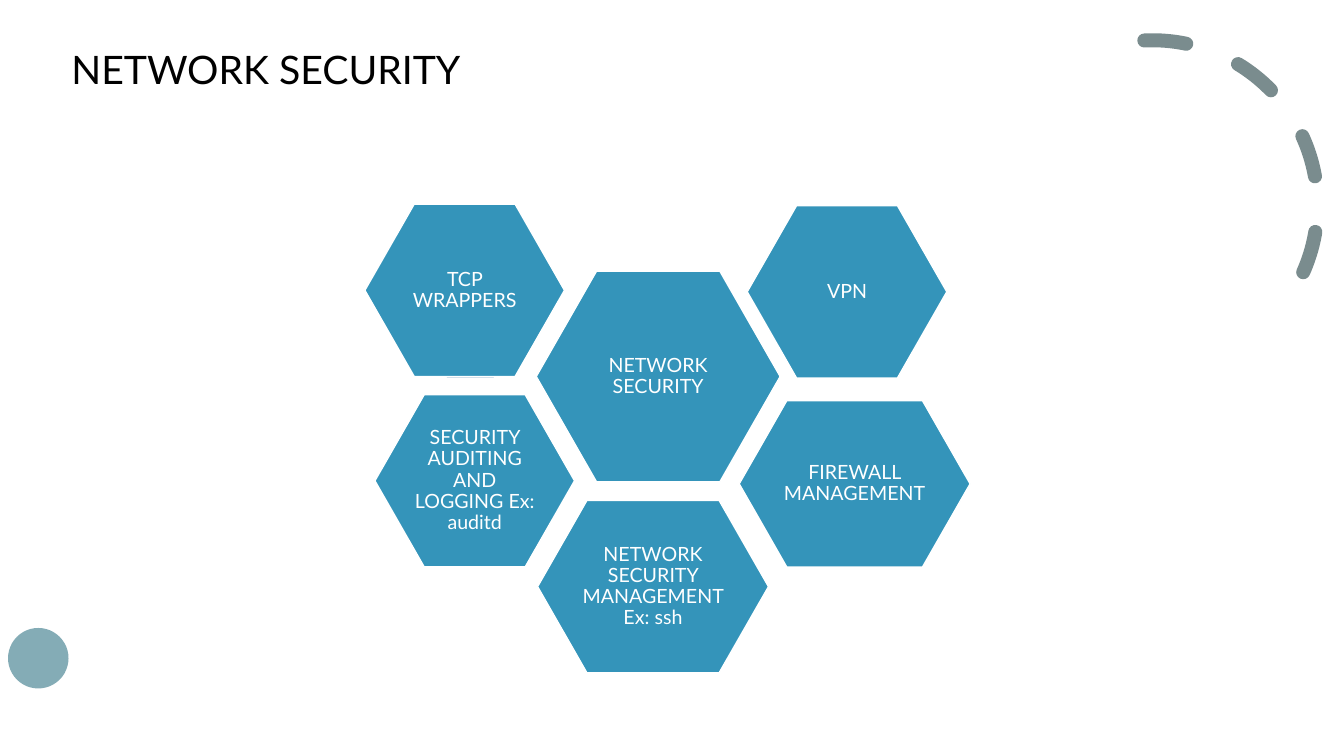
from pptx import Presentation
from pptx.dml.color import RGBColor
from pptx.enum.dml import MSO_LINE
from pptx.enum.shapes import MSO_SHAPE as Form
from pptx.enum.text import MSO_ANCHOR as Anchor, PP_ALIGN as Align
from pptx.oxml.ns import qn
from pptx.util import Inches, Pt

BLUE = RGBColor(0x34, 0x94, 0xBA)
PALE = RGBColor(0xCE, 0xDC, 0xE7)
TEAL = RGBColor(0x84, 0xAC, 0xB6)
GREY = RGBColor(0x7A, 0x8C, 0x8E)
WHITE = RGBColor(0xFF, 0xFF, 0xFF)
BLACK = RGBColor(0, 0, 0)


class Board:
    """Style and current slide; boxes are percent of slide width and height."""

    font = "Lato"
    share = 0.67  # part of a hexagon that its label takes

    def __init__(self, deck):
        self.wide, self.high = deck.slide_width, deck.slide_height
        self.slide = deck.slides.add_slide(deck.slide_layouts[6])

    def place(self, box):
        x, y, w, h = box
        return [int(part * side / 100) for part, side in
                ((x, self.wide), (y, self.high), (w, self.wide), (h, self.high))]

    def shape(self, form, box, fill=None, line=None, width=1):
        item = self.slide.shapes.add_shape(form, *self.place(box))
        item.shadow.inherit = False
        if fill is None:
            item.fill.background()
        else:
            item.fill.solid()
            item.fill.fore_color.rgb = fill
        if line is None:
            item.line.fill.background()
        else:
            item.line.color.rgb = line
            item.line.width = Pt(width)
        return item

    def text(self, box, words, size, color, inset=None):
        frame = self.slide.shapes.add_textbox(*self.place(box)).text_frame
        frame.word_wrap = True
        para = frame.paragraphs[0]
        if inset is not None:
            frame.margin_left = frame.margin_right = Inches(inset)
            frame.margin_top = frame.margin_bottom = Inches(inset)
            frame.vertical_anchor = Anchor.MIDDLE
            para.alignment = Align.CENTER
            para.line_spacing = 0.9
        run = para.add_run()
        run.text = words
        run.font.name = self.font
        run.font.size = Pt(size)
        run.font.color.rgb = color

    def hexagon(self, box, fill, line=None):
        item = self.shape(Form.HEXAGON, box, fill, line)
        item.adjustments[0] = 0.286

    def cell(self, box, words):
        self.hexagon(box, BLUE, WHITE)
        x, y, w, h = box
        trim = (1 - self.share) / 2
        label = (x + w * trim, y + h * trim, w * self.share, h * self.share)
        self.text(label, words, 14, WHITE, 0.02)

    def arc(self, box, start, end, turn):
        item = self.shape(Form.ARC, box, None, GREY, 10)
        # Arc angles are stored in 60000ths of a degree
        item.adjustments[0] = start * 0.6
        item.adjustments[1] = end * 0.6
        item.rotation = turn
        item.line.dash_style = MSO_LINE.DASH
        item.element.spPr.find(qn("a:ln")).set("cap", "rnd")


def main():
    deck = Presentation()
    deck.slide_width, deck.slide_height = Inches(13.33), Inches(7.5)
    board = Board(deck)

    # Corner ornaments
    board.arc((73.5, 5.33, 24.53, 43.6), 270, 38.12, 357.1)
    board.shape(Form.OVAL, (0.6, 83.07, 4.5, 8), TEAL)

    # Title
    board.text((4.58, 5.33, 44.03, 7.6), "NETWORK SECURITY", 28, BLACK)

    # Honeycomb: the hub, then the topics around it
    board.cell((39.9, 35.87, 18.15, 27.87), "NETWORK SECURITY")
    board.hexagon((31.58, 39.47, 6.83, 10.53), PALE)
    small, broad, tall = 14.85, 17.18, 22.8
    for x, y, w, h, words in (
        (27.15, 27, small, tall, "TCP WRAPPERS"),
        (55.6, 27.2, small, tall, "VPN"),
        (55, 53, broad, 22, "FIREWALL MANAGEMENT"),
        (40, 66.2, broad, tall, "NETWORK SECURITY MANAGEMENT Ex: ssh"),
        (27.9, 52.2, small, tall, "SECURITY AUDITING AND LOGGING Ex: auditd"),
    ):
        board.cell((x, y, w, h), words)

    deck.save("out.pptx")


if __name__ == "__main__":
    main()
